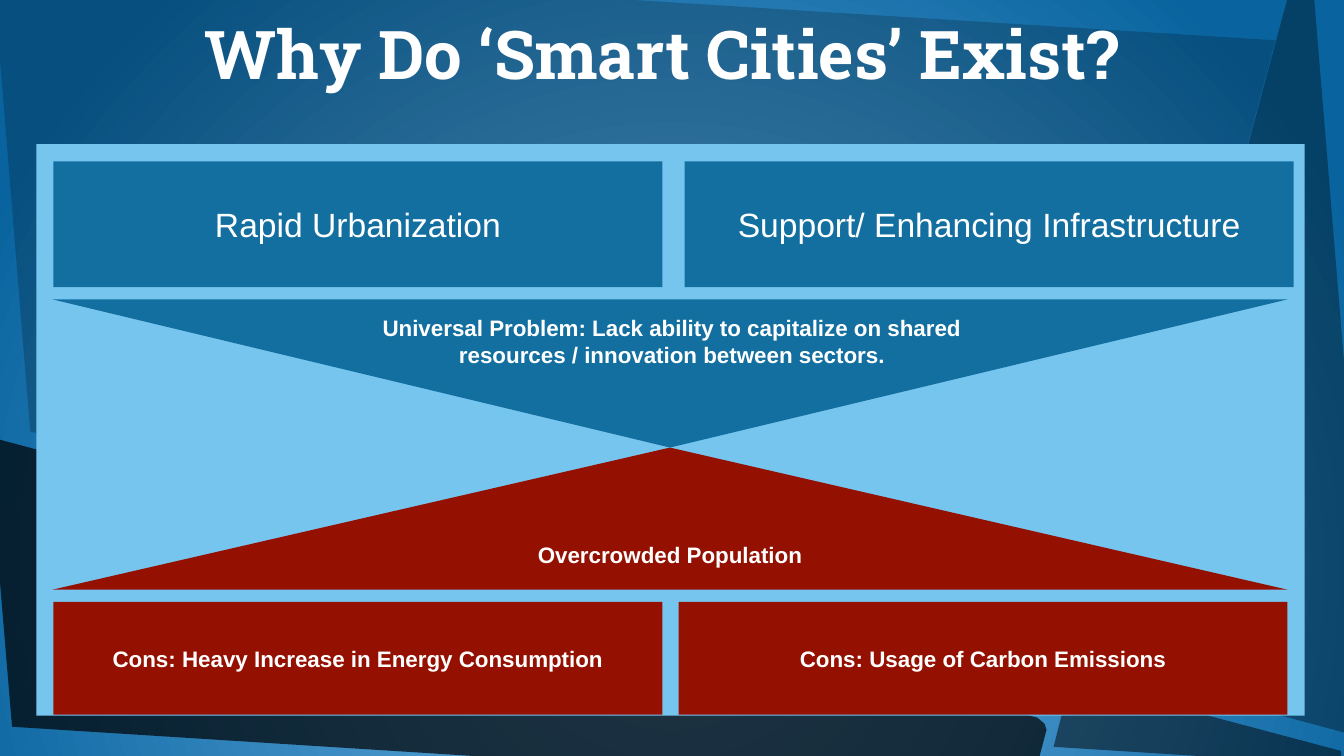
from lxml.etree import SubElement
from pptx import Presentation
from pptx.dml.color import RGBColor
from pptx.enum.shapes import MSO_SHAPE
from pptx.enum.text import MSO_ANCHOR, MSO_AUTO_SIZE, PP_ALIGN
from pptx.oxml.ns import qn
from pptx.util import Inches, Pt

WHITE = RGBColor(0xFF, 0xFF, 0xFF)
BLACK = RGBColor(0x00, 0x00, 0x00)
GLOW = RGBColor(0x70, 0xB6, 0xE8)
DEEP_BLUE = RGBColor(0x08, 0x63, 0x9E)
LIGHT_BLUE = RGBColor(0x76, 0xC5, 0xEF)
BLUE = RGBColor(0x13, 0x6F, 0xA0)
RED = RGBColor(0x94, 0x11, 0x02)

LEFT = 0.53
CARD_WIDTH = 6.04
TRIANGLE_LEFT, TRIANGLE_WIDTH, MEETING_POINT = 0.52, 12.25, 4.44

# Opacity in percent and outline of each dark background panel
PANELS = [
    (20, [(-0.08, -0.4), (12.65, 0.4), (10.88, 7.02), (10.83, 7.07),
          (10.74, 7.08), (0.3, 4.28)]),
    (70, [(-0.12, 4.33), (10.29, 7.12), (10.36, 7.18), (10.38, 7.24),
          (10.22, 7.85), (0.12, 7.21)]),
    (50, [(10.69, 6.76), (10.74, 6.77), (13.3, 7.45), (13.31, 7.59),
          (10.45, 7.41), (10.6, 6.82), (10.64, 6.78)]),
    (35, [(12.79, -0.09), (13.03, -0.07), (13.64, 7.35), (11.11, 6.67),
          (11.03, 6.63), (11.01, 6.55)]),
]


def paint_background(page):
    """Fill the page with a glow that spreads from below its centre."""
    fill = page.background.fill
    fill.gradient()
    for stop, color, position in zip(fill.gradient_stops, (GLOW, DEEP_BLUE), (0, 1)):
        stop.color.rgb = color
        stop.position = position
    linear = page.element.find(".//" + qn("a:lin"))
    gradient = linear.getparent()
    gradient.remove(linear)
    circle = SubElement(gradient, qn("a:path"), path="circle")
    SubElement(circle, qn("a:fillToRect"), l="50000", t="50000", r="50000", b="0")


def style_shape(shape, color):
    shape.shadow.inherit = False
    shape.fill.solid()
    shape.fill.fore_color.rgb = color
    shape.line.fill.background()


def add_panel(shapes, opacity, points):
    corners = [(Inches(x), Inches(y)) for x, y in points]
    builder = shapes.build_freeform(*corners[0])
    builder.add_line_segments(corners[1:], close=True)
    panel = builder.convert_to_shape()
    style_shape(panel, BLACK)
    color = panel.fill._xPr.find(".//" + qn("a:srgbClr"))
    SubElement(color, qn("a:alpha"), val=str(opacity * 1000))


def write_text(box, text, size, bold=True, font="Arial"):
    frame = box.text_frame
    frame.word_wrap = True
    frame.vertical_anchor = MSO_ANCHOR.MIDDLE
    para = frame.paragraphs[0]
    para.text = text
    para.alignment = PP_ALIGN.CENTER
    para.font.name = font
    para.font.size = Pt(size)
    para.font.bold = bold
    para.font.color.rgb = WHITE


def add_block(shapes, kind, place, color, text="", size=16, bold=True):
    block = shapes.add_shape(kind, *map(Inches, place))
    style_shape(block, color)
    if text:
        frame = block.text_frame
        frame.margin_left = frame.margin_right = Inches(0.12)
        frame.margin_top = frame.margin_bottom = Inches(0.08)
        write_text(block, text, size, bold)
    return block


def add_label(shapes, place, text, size, font="Arial"):
    label = shapes.add_textbox(*map(Inches, place))
    write_text(label, text, size, font=font)
    label.text_frame.auto_size = MSO_AUTO_SIZE.SHAPE_TO_FIT_TEXT
    return label


def add_problem(page):
    """Group the downward triangle with its wording."""
    shapes = page.shapes.add_group_shape().shapes
    triangle = add_block(shapes, MSO_SHAPE.ISOSCELES_TRIANGLE,
                         (TRIANGLE_LEFT, 2.97, TRIANGLE_WIDTH, MEETING_POINT - 2.97), BLUE)
    triangle.rotation = 180
    add_label(shapes, (3.33, 3.06, 6.67, 0.64),
              "Universal Problem: Lack ability to capitalize on shared "
              "resources / innovation between sectors.", 16)


def add_title(page):
    title = add_label(page.shapes, (0.33, 0.07, 12.64, 0.91),
                      "Why Do ‘Smart Cities’ Exist? ", 48, "Roboto Slab")
    frame = title.text_frame
    frame.vertical_anchor = MSO_ANCHOR.TOP
    frame.margin_left = frame.margin_right = 0


def main():
    deck = Presentation()
    deck.slide_width, deck.slide_height = Inches(13.33), Inches(7.5)
    page = deck.slides.add_slide(deck.slide_layouts[6])
    shapes = page.shapes

    paint_background(page)
    for opacity, points in PANELS:
        add_panel(shapes, opacity, points)

    add_block(shapes, MSO_SHAPE.RECTANGLE, (0.36, 1.43, 12.58, 5.67), LIGHT_BLUE)
    add_block(shapes, MSO_SHAPE.ISOSCELES_TRIANGLE,
              (TRIANGLE_LEFT, MEETING_POINT, TRIANGLE_WIDTH, 1.41), RED,
              "Overcrowded Population")
    for left, text in ((LEFT, "Rapid Urbanization"),
                       (6.79, "Support/ Enhancing Infrastructure")):
        add_block(shapes, MSO_SHAPE.RECTANGLE, (left, 1.6, CARD_WIDTH, 1.25),
                  BLUE, text, 24, False)
    add_problem(page)
    for left, text in ((LEFT, "Cons: Heavy Increase in Energy Consumption"),
                       (6.73, "Cons: Usage of Carbon Emissions")):
        add_block(shapes, MSO_SHAPE.RECTANGLE, (left, 5.97, CARD_WIDTH, 1.12), RED, text)
    add_title(page)

    deck.save("out.pptx")


if __name__ == "__main__":
    main()
